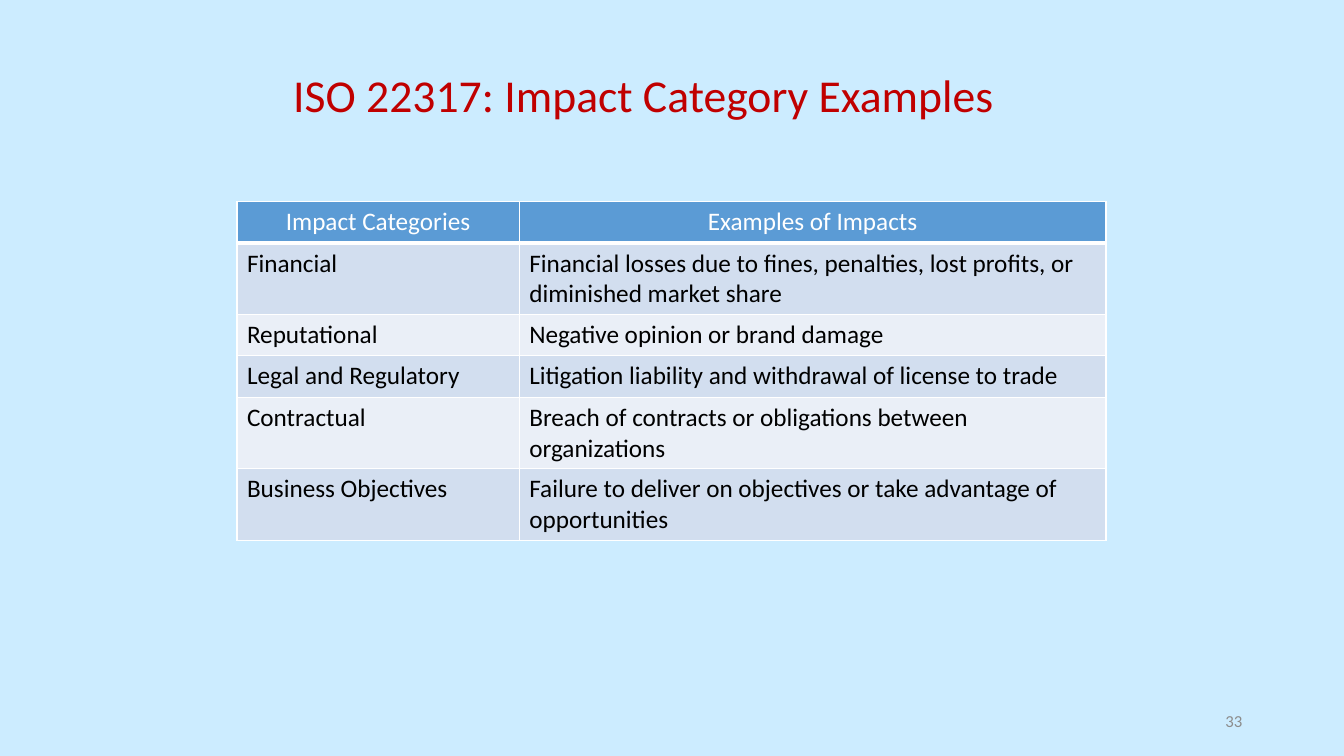
"""Build the slide of ISO 22317 impact category examples."""
import lxml.etree
import pptx
import pptx.dml.color
import pptx.enum.text
import pptx.oxml.ns
import pptx.util

WIDTH, HEIGHT = 13.33, 7.5
FONT = "Calibri"
WHITE, BLACK = "FFFFFF", "000000"
HEADER_FILL = "5B9BD5"
BAND_FILLS = ("D2DEEF", "EAEFF7")
ALIGN = pptx.enum.text.PP_ALIGN
COLUMN_WIDTHS = (2.8, 5.82)
LINE_HEIGHTS = {1: 0.41, 2: 0.7}
IMPACTS = (
    (1, "Impact Categories", "Examples of Impacts"),
    (2, "Financial", "Financial losses due to fines, penalties, lost profits, or diminished market share"),
    (1, "Reputational", "Negative opinion or brand damage"),
    (1, "Legal and Regulatory", "Litigation liability and withdrawal of license to trade"),
    (2, "Contractual", "Breach of contracts or obligations between organizations"),
    (2, "Business Objectives", "Failure to deliver on objectives or take advantage of opportunities"),
)


def color(hex_code):
    """Return the colour for a hex string."""
    return pptx.dml.color.RGBColor.from_string(hex_code)


def paint(fill, hex_code):
    """Make a fill solid in one colour."""
    fill.solid()
    fill.fore_color.rgb = color(hex_code)


def write(frame, words, size, hex_code, align=ALIGN.LEFT):
    """Write one run into the first paragraph of a text frame."""
    paragraph = frame.paragraphs[0]
    paragraph.alignment = align
    run = paragraph.add_run()
    run.text = words
    run.font.name = FONT
    run.font.size = pptx.util.Pt(size)
    run.font.bold = False
    run.font.color.rgb = color(hex_code)
    return paragraph


def add_label(slide, box, words, size, hex_code, align=ALIGN.LEFT):
    """Add a vertically centred line of text, with its box in shares of the slide."""
    scales = (WIDTH, HEIGHT, WIDTH, HEIGHT)
    place = [pptx.util.Inches(share * scale) for share, scale in zip(box, scales)]
    frame = slide.shapes.add_textbox(*place).text_frame
    frame.word_wrap = True
    frame.vertical_anchor = pptx.enum.text.MSO_ANCHOR.MIDDLE
    return write(frame, words, size, hex_code, align)


def add_borders(cell, bottom_width):
    """Draw white rules on the four sides of a cell."""
    qn = pptx.oxml.ns.qn
    properties = cell._tc.get_or_add_tcPr()
    for index, side in enumerate("LRTB"):
        width = bottom_width if side == "B" else 1
        rule = lxml.etree.Element(qn(f"a:ln{side}"), w=str(pptx.util.Pt(width)))
        solid = lxml.etree.SubElement(rule, qn("a:solidFill"))
        lxml.etree.SubElement(solid, qn("a:srgbClr"), val=WHITE)
        properties.insert(index, rule)


def add_impact_table(slide, left, top):
    """Add the banded table of impact categories."""
    heights = [LINE_HEIGHTS[lines] for lines, *_ in IMPACTS]
    place = (left * WIDTH, top * HEIGHT, sum(COLUMN_WIDTHS), sum(heights))
    table = slide.shapes.add_table(
        len(IMPACTS), len(COLUMN_WIDTHS), *map(pptx.util.Inches, place)).table
    for column, width in zip(table.columns, COLUMN_WIDTHS):
        column.width = pptx.util.Inches(width)
    for index, (row, height, impact) in enumerate(zip(table.rows, heights, IMPACTS)):
        row.height = pptx.util.Inches(height)
        header = index == 0
        for cell, words in zip(row.cells, impact[1:]):
            paint(cell.fill, HEADER_FILL if header else BAND_FILLS[(index - 1) % 2])
            add_borders(cell, 3 if header else 1)
            write(cell.text_frame, words, 18, WHITE if header else BLACK,
                  ALIGN.CENTER if header else ALIGN.LEFT)


def main():
    """Build and save the slide."""
    deck = pptx.Presentation()
    deck.slide_width = pptx.util.Inches(WIDTH)
    deck.slide_height = pptx.util.Inches(HEIGHT)
    slide = deck.slides.add_slide(deck.slide_layouts[6])
    paint(slide.background.fill, "CCECFF")
    add_impact_table(slide, 0.1763, 0.2667)
    title = add_label(slide, (0.2108, 0.0333, 0.6857, 0.1933),
                      "ISO 22317: Impact Category Examples", 32.6, "C00000")
    title.line_spacing = 0.9
    add_label(slide, (0.7067, 0.9267, 0.2251, 0.0533), "33", 12, "8C8C8C", ALIGN.RIGHT)
    deck.save("out.pptx")


if __name__ == "__main__":
    main()
